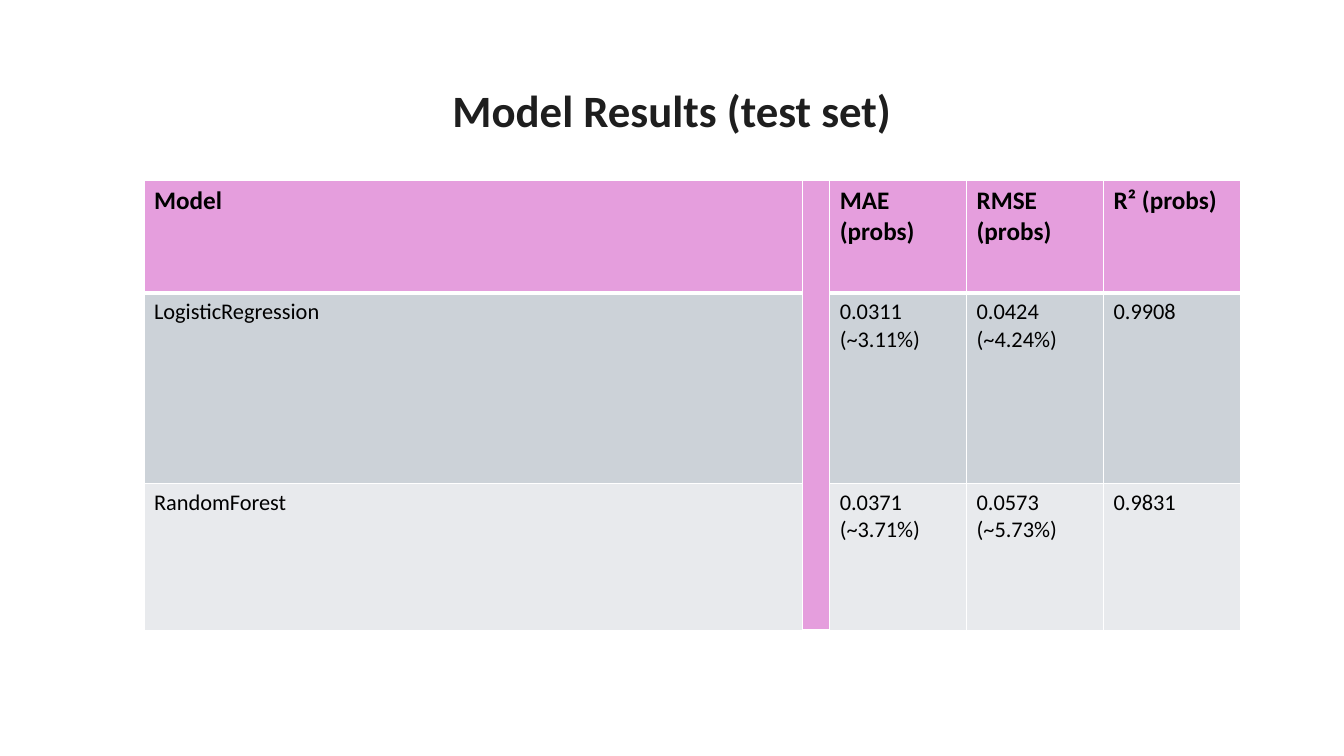
"""Build a slide with a table of model test results."""
from lxml.etree import fromstring
from pptx import Presentation
from pptx.dml.color import RGBColor as Rgb
from pptx.enum.text import MSO_ANCHOR as Anchor, PP_ALIGN as Align
from pptx.util import Cm, Pt

TITLE = "Model Results (test set)"
ROWS = [
    ("Model", "", "MAE (probs)", "RMSE (probs)", "R² (probs)"),
    ("LogisticRegression", "", "0.0311 (~3.11%)", "0.0424 (~4.24%)", "0.9908"),
    ("RandomForest", "", "0.0371 (~3.71%)", "0.0573 (~5.73%)", "0.9831"),
]
COLORS = {"title": "1E1E1E", "text": "000000", "header": "E59EDD",
          "odd": "CCD2D8", "even": "E8EAED", "border": "FFFFFF"}
ROW_FILLS = ["header", "odd", "even"]
DIVIDER = 1
COLUMN_WIDTHS = [16.59, 0.69, 3.45, 3.45, 3.45]
ROW_HEIGHTS = [2.84, 4.8, 3.71]
TABLE_LEFT, TABLE_TOP = 3.63, 4.55
TITLE_BOX = (2.33, 1.02, 29.21, 3.68)
FORMATS = {
    "title": {"size": Pt(32), "bold": True, "name": "Calibri"},
    "header": {"size": Pt(18), "bold": True, "name": "Calibri"},
    "body": {"size": Pt(16), "bold": False, "name": "Calibri"},
}
NAMESPACE = "http://schemas.openxmlformats.org/drawingml/2006/main"


def write(para, text, style, color):
    """Add one formatted span to a paragraph."""
    span = para.add_run()
    span.text = text
    for key, value in FORMATS[style].items():
        setattr(span.font, key, value)
    span.font.color.rgb = Rgb.from_string(COLORS[color])


def add_borders(cell, bottom):
    """Draw four borders, the bottom one with its own width in points."""
    properties = cell._tc.get_or_add_tcPr()
    for index, (side, points) in enumerate(zip("LRTB", (1, 1, 1, bottom))):
        properties.insert(index, fromstring(
            f'<a:ln{side} xmlns:a="{NAMESPACE}" w="{Pt(points)}"><a:solidFill>'
            f'<a:srgbClr val="{COLORS["border"]}"/></a:solidFill></a:ln{side}>'))


def add_title(page):
    """Add the centred heading."""
    box = page.shapes.add_textbox(*map(Cm, TITLE_BOX))
    frame = box.text_frame
    frame.word_wrap = True
    frame.vertical_anchor = Anchor.MIDDLE
    para = frame.paragraphs[0]
    para.alignment = Align.CENTER
    para.line_spacing = 0.9
    write(para, TITLE, "title", "title")


def add_results(page):
    """Add the results table with its merged divider column."""
    table = page.shapes.add_table(
        len(ROWS), len(COLUMN_WIDTHS), Cm(TABLE_LEFT), Cm(TABLE_TOP),
        Cm(sum(COLUMN_WIDTHS)), Cm(sum(ROW_HEIGHTS))).table
    for column, width in zip(table.columns, COLUMN_WIDTHS):
        column.width = Cm(width)
    for row, height in zip(table.rows, ROW_HEIGHTS):
        row.height = Cm(height)
    for r, texts in enumerate(ROWS):
        for c, text in enumerate(texts):
            cell = table.cell(r, c)
            fill = "header" if c == DIVIDER else ROW_FILLS[r]
            cell.fill.solid()
            cell.fill.fore_color.rgb = Rgb.from_string(COLORS[fill])
            add_borders(cell, 1 if r else 3)
            if text:
                style = "body" if r else "header"
                write(cell.text_frame.paragraphs[0], text, style, "text")
    table.cell(0, DIVIDER).merge(table.cell(len(ROWS) - 1, DIVIDER))


def main():
    """Create and save the deck."""
    deck = Presentation()
    deck.slide_width, deck.slide_height = Cm(33.87), Cm(19.05)
    page = deck.slides.add_slide(deck.slide_layouts[6])
    add_title(page)
    add_results(page)
    deck.save("out.pptx")


if __name__ == "__main__":
    main()
